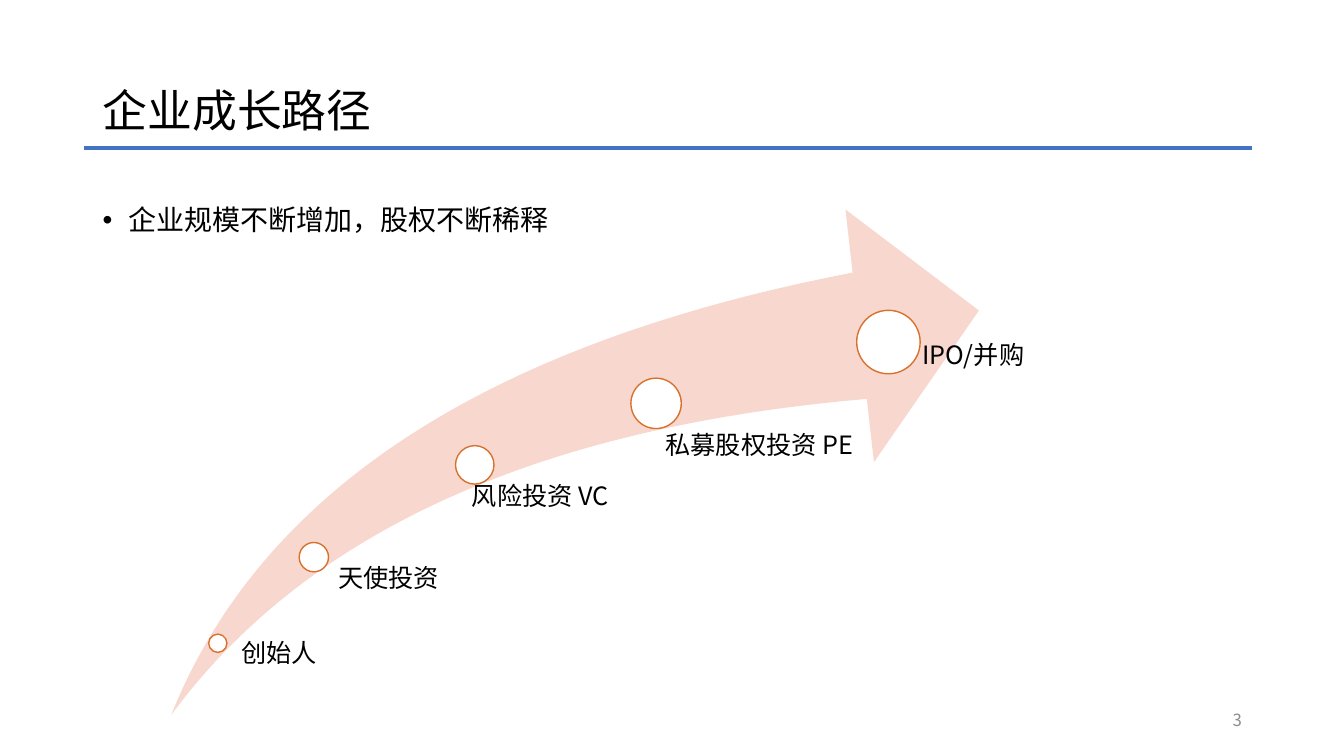
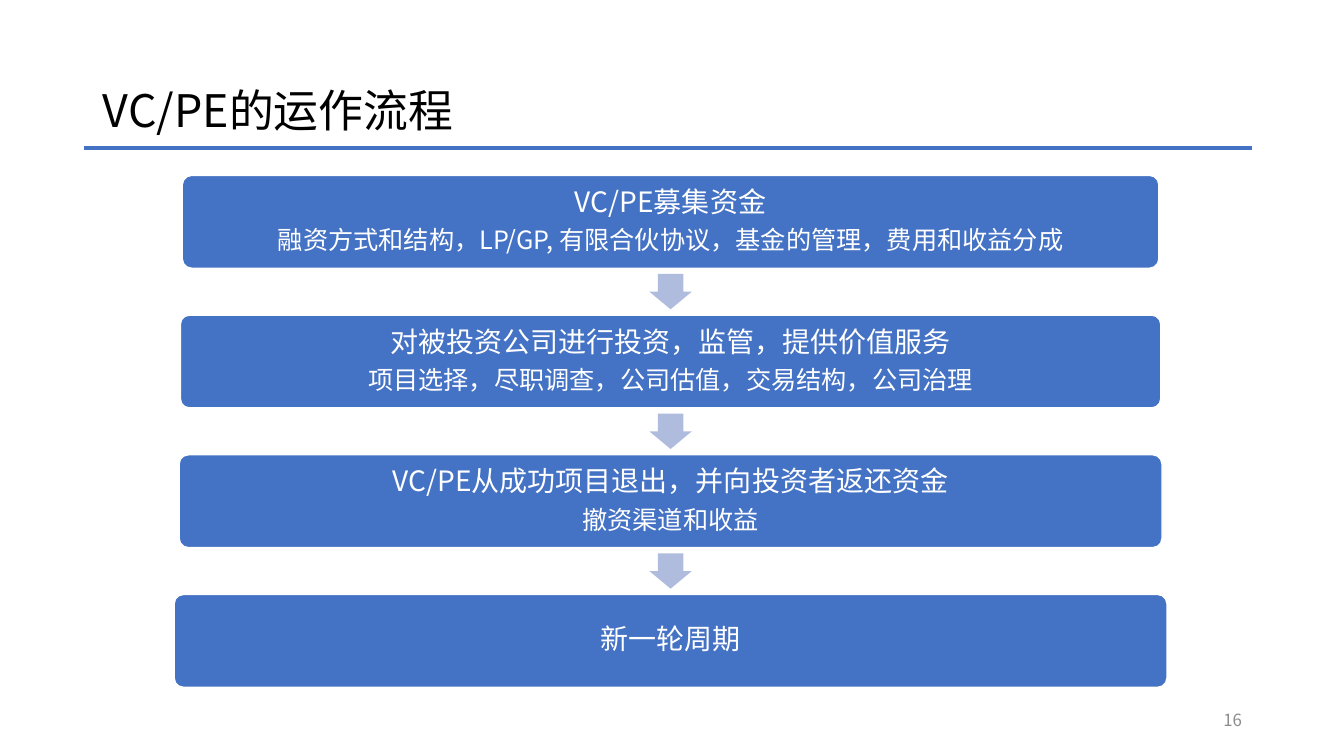
from lxml import etree
from pptx import Presentation
from pptx.dml.color import RGBColor
from pptx.enum import shapes, text
from pptx.oxml.ns import qn
from pptx.util import Cm, Pt

FONT = "Noto Sans CJK SC"
BLACK = RGBColor(0x00, 0x00, 0x00)
WHITE = RGBColor(0xFF, 0xFF, 0xFF)
GRAY = RGBColor(0x8C, 0x8C, 0x8C)
BLUE = RGBColor(0x44, 0x72, 0xC4)
PALE_BLUE = RGBColor(0xB0, 0xBC, 0xDE)
ORANGE = RGBColor(0xD7, 0x71, 0x2C)
PALE_ORANGE = RGBColor(0xF8, 0xD7, 0xCE)

LEFT, CENTER, RIGHT = text.PP_ALIGN.LEFT, text.PP_ALIGN.CENTER, text.PP_ALIGN.RIGHT
TOP, MIDDLE = text.MSO_ANCHOR.TOP, text.MSO_ANCHOR.MIDDLE
INSETS = (0.25, 0.13, 0.25, 0.13)

# circle left, top, diameter; label left, top, width, height; label
MILESTONES = [
    (5.26, 15.98, 0.46, 5.84, 16.15, 2.67, 1.35, "创始人"),
    (7.54, 13.67, 0.74, 8.13, 14.25, 3.38, 2.03, "天使投资"),
    (11.48, 11.23, 0.97, 11.38, 12.19, 5.18, 1.65, "风险投资 VC"),
    (15.9, 9.53, 1.27, 16.1, 10.9, 7.26, 3.33, "私募股权投资 PE"),
    (21.59, 7.82, 1.6, 22.4, 8.64, 4.06, 9.37, "IPO/并购"),
]

# box width; lines
STEPS = [
    (24.61, ["VC/PE募集资金",
             "融资方式和结构，LP/GP, 有限合伙协议，基金的管理，费用和收益分成"]),
    (24.71, ["对被投资公司进行投资，监管，提供价值服务",
             "项目选择，尽职调查，公司估值，交易结构，公司治理"]),
    (24.77, ["VC/PE从成功项目退出，并向投资者返还资金", "撤资渠道和收益"]),
    (25.02, ["新一轮周期"]),
]


def style_paragraph(para, size, color, align=LEFT, gap_after=False, bullet=False):
    """Set spacing, bullet and font; gap_after is a share of the line height."""
    para.alignment = align
    para.line_spacing = 0.9
    props = para._p.get_or_add_pPr()
    if gap_after:
        spacing = etree.SubElement(props, qn("a:spcAft"))
        etree.SubElement(spacing, qn("a:spcPct"), val="35000")
    if bullet:
        props.set("marL", str(Cm(0.64)))
        props.set("indent", str(-Cm(0.64)))
        etree.SubElement(props, qn("a:buFont"), typeface="Arial")
        etree.SubElement(props, qn("a:buChar"), char="•")
    para.font.name = FONT
    para.font.size = Pt(size)
    para.font.color.rgb = color
    etree.SubElement(props.find(qn("a:defRPr")), qn("a:ea"), typeface=FONT)


def fill_frame(shape, lines, sizes, color=BLACK, anchor=TOP, insets=INSETS, **style):
    frame = shape.text_frame
    frame.word_wrap = True
    frame.vertical_anchor = anchor
    (frame.margin_left, frame.margin_top,
     frame.margin_right, frame.margin_bottom) = map(Cm, insets)
    for index, (line, size) in enumerate(zip(lines, sizes)):
        para = frame.add_paragraph() if index else frame.paragraphs[0]
        para.add_run().text = line
        style_paragraph(para, size, color, **style)


def add_text(page, place, line, size, **options):
    box = page.shapes.add_textbox(*map(Cm, place))
    fill_frame(box, [line], [size], **options)


def add_shape(page, kind, place, fill, line=None, adjustments=()):
    shape = page.shapes.add_shape(kind, *map(Cm, place))
    shape.shadow.inherit = False
    shape.fill.solid()
    shape.fill.fore_color.rgb = fill
    if line is None:
        shape.line.fill.background()
    else:
        shape.line.color.rgb = line
        shape.line.width = Pt(1)
    for index, value in enumerate(adjustments):
        shape.adjustments[index] = value
    return shape


def add_page(deck, title, number):
    """Add a slide with the shared title, rule and page number."""
    page = deck.slides.add_slide(deck.slide_layouts[6])
    add_text(page, (2.34, 1.02, 29.21, 3.68), title, 32, anchor=MIDDLE)
    rule = page.shapes.add_connector(
        shapes.MSO_CONNECTOR.STRAIGHT, Cm(2.11), Cm(3.73), Cm(31.55), Cm(3.73))
    rule.line.color.rgb = BLUE
    rule.line.width = Pt(3)
    etree.SubElement(rule._element.spPr, qn("a:effectLst"))
    add_text(page, (23.93, 17.65, 7.62, 1.02), str(number), 12,
             color=GRAY, anchor=MIDDLE, align=RIGHT)
    return page


def add_growth_path(page):
    add_shape(page, shapes.MSO_SHAPE.SWOOSH_ARROW, (4.32, 5.28, 20.35, 12.73),
              PALE_ORANGE, adjustments=(0.25, 0.25))
    for left, top, size, *label_place, label in MILESTONES:
        add_shape(page, shapes.MSO_SHAPE.OVAL, (left, top, size, size), WHITE, ORANGE)
        add_text(page, label_place, label, 18,
                 insets=(0.53 * size, 0, 0, 0), gap_after=True)


def add_process(page):
    center, first_top, height, pitch = 16.9, 4.42, 2.34, 3.52
    arrow_width, arrow_height = 1.07, 0.89
    for index, (width, lines) in enumerate(STEPS):
        top = first_top + index * pitch
        if index:
            arrow_top = top - (pitch - height + arrow_height) / 2
            add_shape(page, shapes.MSO_SHAPE.DOWN_ARROW,
                      (center - arrow_width / 2, arrow_top, arrow_width, arrow_height),
                      PALE_BLUE, adjustments=(0.6, 0.5))
        box = add_shape(page, shapes.MSO_SHAPE.ROUNDED_RECTANGLE,
                        (center - width / 2, top, width, height),
                        BLUE, WHITE, adjustments=(0.1,))
        fill_frame(box, lines, (20, 18), color=WHITE, anchor=MIDDLE,
                   insets=(0.28,) * 4, align=CENTER, gap_after=True)


def main():
    deck = Presentation()
    deck.slide_width, deck.slide_height = Cm(33.87), Cm(19.05)

    growth = add_page(deck, "企业成长路径", 3)
    add_text(growth, (2.34, 5.08, 29.21, 12.09),
             "企业规模不断增加，股权不断稀释", 20, bullet=True)
    add_growth_path(growth)

    process = add_page(deck, "VC/PE的运作流程", 16)
    add_process(process)

    deck.save("out.pptx")


if __name__ == "__main__":
    main()
